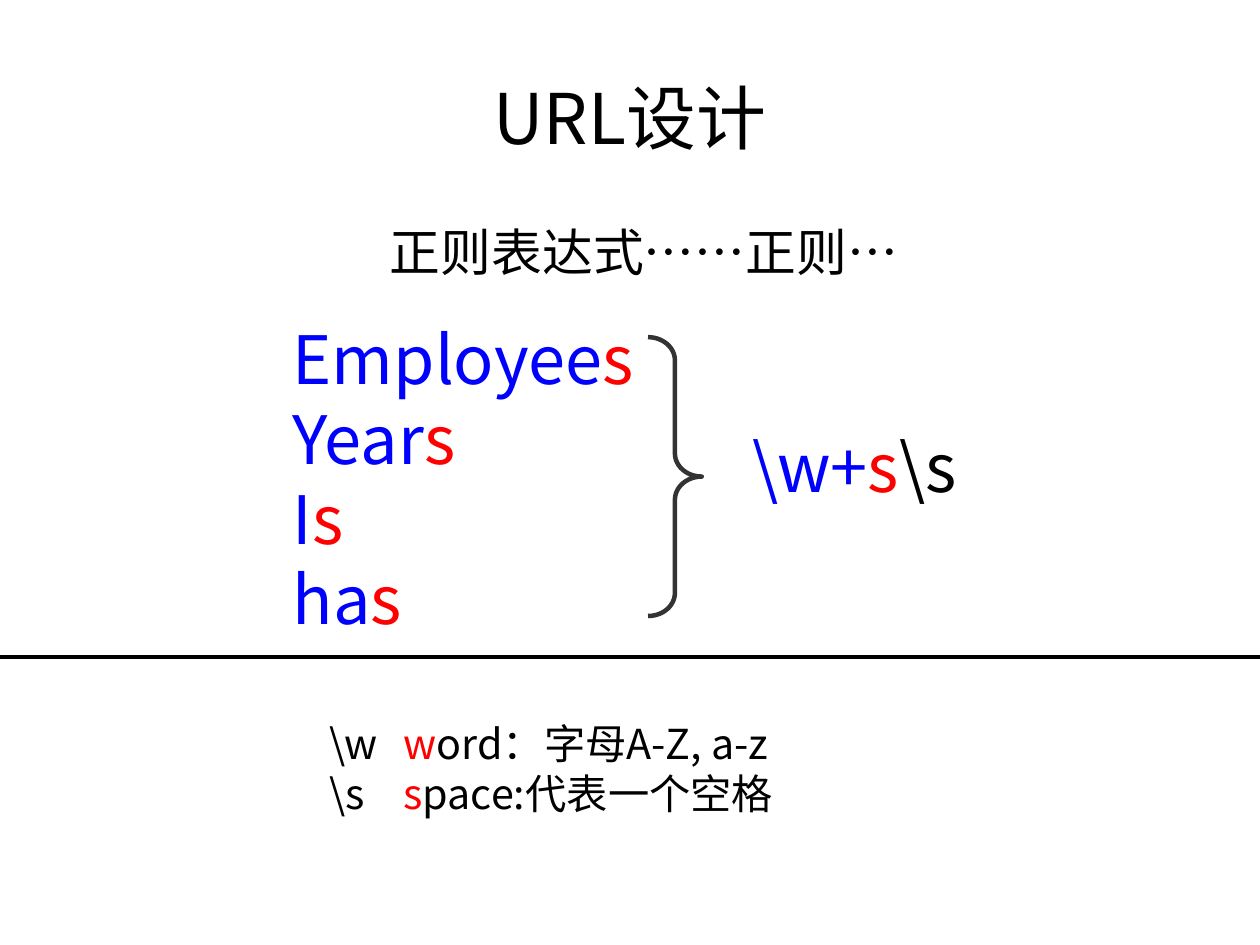
from lxml import etree
from pptx import Presentation
from pptx import util as u
from pptx.dml.color import RGBColor
from pptx.enum import shapes, text
from pptx.oxml.ns import qn

Inches, Pt = u.Inches, u.Pt
FONT = "Noto Sans CJK SC"
BLACK, BLUE, RED, GREY = "000000", "0000FF", "FF0000", "333333"


def color(value):
    return RGBColor.from_string(value)


def add_text(s, lines, box, size, align="LEFT", anchor="TOP",
             insets=(0.12, 0.07, 0.12, 0.07), spacing=None, tab=None):
    """Each line is a list of (text, colour) runs."""
    tf = s.shapes.add_textbox(*map(Inches, box)).text_frame
    tf.word_wrap = True
    tf.vertical_anchor = text.MSO_ANCHOR[anchor]
    tf.margin_left, tf.margin_top, tf.margin_right, tf.margin_bottom = map(Inches, insets)
    for i, runs in enumerate(lines):
        p = tf.add_paragraph() if i else tf.paragraphs[0]
        p.alignment = text.PP_ALIGN[align]
        if spacing:
            p.line_spacing = Pt(spacing)
        if tab:
            tabs = etree.SubElement(p._p.get_or_add_pPr(), qn("a:tabLst"))
            etree.SubElement(tabs, qn("a:tab"), pos=str(Inches(tab)), algn="l")
        for content, value in runs:
            r = p.add_run()
            r.text = content
            r.font.size = Pt(size)
            r.font.name = FONT
            r.font.color.rgb = color(value)
            etree.SubElement(r._r.get_or_add_rPr(), qn("a:ea"), typeface=FONT)


# Page of 28 by 21 cm
prs = Presentation()
prs.slide_width, prs.slide_height = Inches(28 / 2.54), Inches(21 / 2.54)
s = prs.slides.add_slide(prs.slide_layouts[6])

# Title and subtitle
add_text(s, [[("URL设计", BLACK)]], (0.55, 0.33, 9.92, 1.38), 44,
         align="CENTER", anchor="MIDDLE", insets=(0, 0, 0, 0))
add_text(s, [[("正则表达式……正则…", BLACK)]], (0.55, 1.93, 9.7, 4.8), 32,
         align="CENTER", insets=(0.47, 0, 0, 0), spacing=38.4)

# Legend of the character classes
legend = [("\\w", "w", "ord：字母A-Z, a-z"), ("\\s", "s", "pace:代表一个空格")]
add_text(s, [[(code + "\t", BLACK), (initial, RED), (rest, BLACK)]
             for code, initial, rest in legend],
         (2.76, 6.22, 5.54, 1.85), 26, spacing=31, tab=0.65)

# Words ending in s
stems = ["Employee", "Year", "I", "ha"]
add_text(s, [[(stem, BLUE), ("s", RED)] for stem in stems],
         (2.44, 2.71, 4.09, 3.32), 42, spacing=50.4)

# Brace leading to the pattern
brace = s.shapes.add_shape(shapes.MSO_SHAPE.RIGHT_BRACE, Inches(5.67), Inches(2.95),
                           Inches(0.47), Inches(2.44))
brace.adjustments[0] = 0.43
brace.shadow.inherit = False
brace.fill.background()
brace.line.color.rgb = color(GREY)
brace.line.width = Pt(2.83)
add_text(s, [[("\\w+", BLUE), ("s", RED), ("\\s", BLACK)]],
         (6.46, 3.66, 2.76, 0.93), 42, spacing=50.4)

# Divider
divider = s.shapes.add_connector(shapes.MSO_CONNECTOR.STRAIGHT, 0, Inches(5.75),
                                 prs.slide_width, Inches(5.75))
divider.line.color.rgb = color(BLACK)
divider.line.width = Pt(2.83)
etree.SubElement(divider._element.spPr, qn("a:effectLst"))

prs.save("out.pptx")
